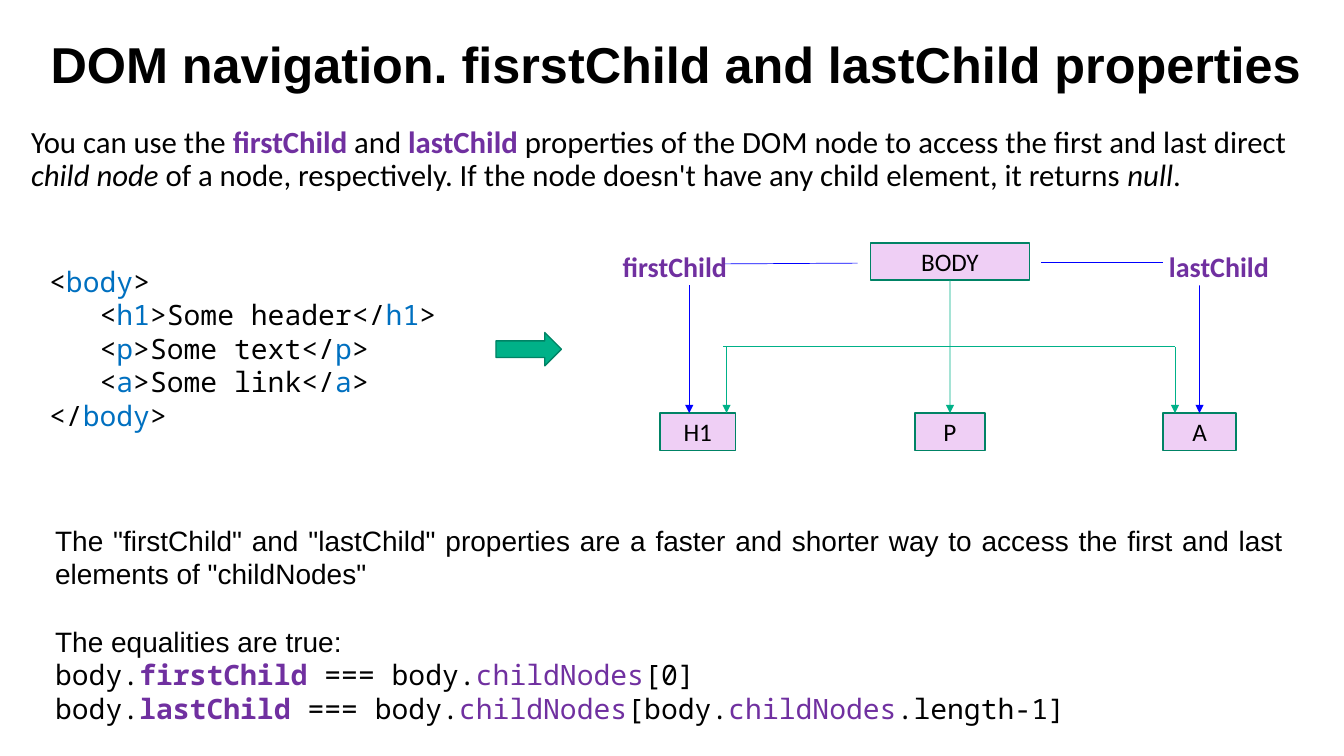
from lxml.etree import SubElement
from pptx import Presentation
from pptx.dml.color import RGBColor
from pptx.enum.shapes import MSO_CONNECTOR, MSO_SHAPE
from pptx.enum.text import MSO_ANCHOR, MSO_AUTO_SIZE, PP_ALIGN
from pptx.oxml.ns import qn
from pptx.util import Cm, Pt

BLACK, PURPLE, BLUE = "000000", "7030A0", "0070C0"
GREEN, DARK_GREEN, PINK, ARROW_BLUE = "00B188", "008365", "EFCFF5", "0000FF"
SANS, HEADING, MONO = "Calibri", "Arial", "Noto Sans Mono"


def rgb(hex_code):
    return RGBColor.from_string(hex_code)


def set_all(target, values):
    for name, value in values.items():
        setattr(target, name, value)


def write(paragraph, runs, font, size, bold=False):
    """Runs are (text, colour) or (text, colour, extra font values)."""
    for text, colour, *extra in runs:
        run = paragraph.add_run()
        run.text = text
        run.font.color.rgb = rgb(colour)
        values = {"name": font, "size": Pt(size), "bold": bold, "italic": False}
        set_all(run.font, values | (extra[0] if extra else {}))


def place(shape, box):
    set_all(shape, dict(zip(("left", "top", "width", "height"), map(Cm, box))))


def text_frame(slide, box, wrap=True):
    frame = slide.shapes.add_textbox(*map(Cm, box)).text_frame
    frame.word_wrap = wrap
    return frame


def next_paragraph(frame, position):
    return frame.add_paragraph() if position else frame.paragraphs[0]


# Outlined shapes and lines
def outlined(slide, kind, box, fill):
    shape = slide.shapes.add_shape(kind, *map(Cm, box))
    shape.shadow.inherit = False
    shape.fill.solid()
    shape.fill.fore_color.rgb = rgb(fill)
    shape.line.color.rgb = rgb(DARK_GREEN)
    shape.line.width = Pt(1)
    return shape


def line(slide, start, end, colour, arrow=False):
    connector = slide.shapes.add_connector(
        MSO_CONNECTOR.STRAIGHT, *map(Cm, start + end))
    connector.line.color.rgb = rgb(colour)
    connector.line.width = Pt(0.5)
    if arrow:
        SubElement(connector.line._ln, qn("a:tailEnd"), type="triangle")
    SubElement(connector._element.spPr, qn("a:effectLst"))
    return connector


# Heading
def add_heading(slide, box):
    heading = slide.shapes.title
    place(heading, box)
    frame = heading.text_frame
    set_all(frame, {"word_wrap": True, "auto_size": MSO_AUTO_SIZE.NONE,
                    "vertical_anchor": MSO_ANCHOR.MIDDLE, "margin_right": 0})
    paragraph = frame.paragraphs[0]
    set_all(paragraph, {"alignment": PP_ALIGN.LEFT, "line_spacing": 0.9})
    write(paragraph, [("DOM navigation. fisrstChild and lastChild properties", BLACK)],
          HEADING, 36, bold=True)


# Introduction
def add_introduction(slide, box):
    introduction = slide.placeholders[1]
    place(introduction, box)
    frame = introduction.text_frame
    set_all(frame, {"word_wrap": True, "auto_size": MSO_AUTO_SIZE.NONE,
                    "vertical_anchor": MSO_ANCHOR.TOP})
    paragraph = frame.paragraphs[0]
    properties = paragraph._p.get_or_add_pPr()
    properties.set("marL", "0")
    properties.set("indent", "0")
    SubElement(properties, qn("a:buNone"))
    set_all(paragraph, {"alignment": PP_ALIGN.LEFT, "line_spacing": 0.9,
                        "space_before": Pt(0)})
    strong, italic = {"bold": True}, {"italic": True}
    write(paragraph, [
        ("You can use the ", BLACK),
        ("firstChild ", PURPLE, strong),
        ("and ", BLACK),
        ("lastChild ", PURPLE, strong),
        ("properties of the DOM node to access the first and last direct ", BLACK),
        ("child node", BLACK, italic),
        (" of a node, respectively. If the node doesn't have any child element, "
         "it returns ", BLACK),
        ("null", BLACK, italic),
        (".", BLACK),
    ], SANS, 22)


# Markup listing
def add_markup(slide, box):
    frame = text_frame(slide, box)
    children = [("h1", "Some header"), ("p", "Some text"), ("a", "Some link")]
    rows = [[("<", BLACK), ("body", BLUE), (">", BLACK)]]
    rows += [[("<", BLACK), (tag, BLUE), (f">{content}</", BLACK),
              (tag, BLUE), (">", BLACK)] for tag, content in children]
    rows.append([("</", BLACK), ("body", BLUE), (">", BLACK)])
    for position, runs in enumerate(rows):
        paragraph = next_paragraph(frame, position)
        if 0 < position < len(rows) - 1:
            paragraph._p.get_or_add_pPr().set("marL", str(Cm(1.27)))
        write(paragraph, runs, MONO, 20)


# Node tree
def add_tree(slide, box):
    left, top, width, height = box
    node_height = 0.94
    child_top = height - node_height
    bus = 2.62

    def at(x, y):
        return left + x, top + y

    def node(name, x, y, node_width):
        shape = outlined(slide, MSO_SHAPE.RECTANGLE,
                         at(x, y) + (node_width, node_height), PINK)
        frame = shape.text_frame
        set_all(frame, {"vertical_anchor": MSO_ANCHOR.MIDDLE,
                        "margin_top": 0, "margin_bottom": 0})
        frame.paragraphs[0].alignment = PP_ALIGN.CENTER
        write(frame.paragraphs[0], [(name, BLACK)], SANS, 18)
        return shape

    body = node("BODY", 6.5, 0, 4)
    middle_child = node("P", 7.62, child_top, 1.76)
    last_child = node("A", 13.87, child_top, 1.84)
    node("H1", 1.19, child_top, 1.91)

    # Branches from the parent
    trunk = line(slide, at(8.5, node_height), at(8.5, child_top), GREEN, arrow=True)
    trunk.begin_connect(body, 2)
    trunk.end_connect(middle_child, 0)
    line(slide, at(2.79, bus), at(14.17, bus), GREEN)
    for x in (2.87, 14.17):
        line(slide, at(x, bus), at(x, child_top), GREEN, arrow=True)

    # Property shortcuts
    line(slide, at(6.17, 0.51), at(2.77, 0.53), ARROW_BLUE)
    line(slide, at(10.8, 0.48), at(13.87, 0.48), ARROW_BLUE)
    line(slide, at(1.93, 1.07), at(1.93, child_top), ARROW_BLUE, arrow=True)
    shortcut = line(slide, at(14.79, 1.07), at(14.79, child_top), ARROW_BLUE, arrow=True)
    shortcut.end_connect(last_child, 0)
    for name, x, label_width in (("firstChild", 0, 3.18), ("lastChild", 13.77, 3.05)):
        label = text_frame(slide, at(x, 0.03) + (label_width, 1.12), wrap=False)
        write(label.paragraphs[0], [(name, PURPLE)], SANS, 20, bold=True)


# Conclusion with equalities
def add_conclusion(slide, box):
    frame = text_frame(slide, box)
    strong = {"bold": True}
    nodes = ("childNodes", PURPLE)
    rows = [
        (HEADING, [('The "firstChild" and "lastChild" properties are a faster and shorter '
                    'way to access the first and last elements of "childNodes"', BLACK)]),
        (HEADING, [("The equalities are true:", BLACK)]),
        (MONO, [("body.", BLACK), ("firstChild", PURPLE, strong),
                (" === body.", BLACK), nodes, ("[0]", BLACK)]),
        (MONO, [("body.", BLACK), ("lastChild", PURPLE, strong),
                (" === body.", BLACK), nodes, ("[body.", BLACK), nodes,
                (".length-1]", BLACK)]),
    ]
    for position, (font, runs) in enumerate(rows):
        paragraph = next_paragraph(frame, position)
        paragraph.alignment = PP_ALIGN.JUSTIFY if position < 3 else PP_ALIGN.LEFT
        write(paragraph, runs, font, 20)
    frame.paragraphs[1].space_before = Pt(24)


def main():
    deck = Presentation()
    set_all(deck, {"slide_width": Cm(33.87), "slide_height": Cm(19.05)})
    slide = deck.slides.add_slide(deck.slide_layouts[1])
    add_introduction(slide, (0.53, 3.07, 32.72, 15.65))
    add_heading(slide, (1.02, 0.97, 32.13, 1.47))
    add_tree(slide, (15.44, 6.12, 16.82, 5.23))
    add_markup(slide, (0.99, 6.53, 11.3, 4.52))
    outlined(slide, MSO_SHAPE.RIGHT_ARROW, (12.5, 8.38, 1.65, 0.84), GREEN)
    add_conclusion(slide, (1.14, 13.06, 31.47, 5.38))
    deck.save("out.pptx")


if __name__ == "__main__":
    main()
